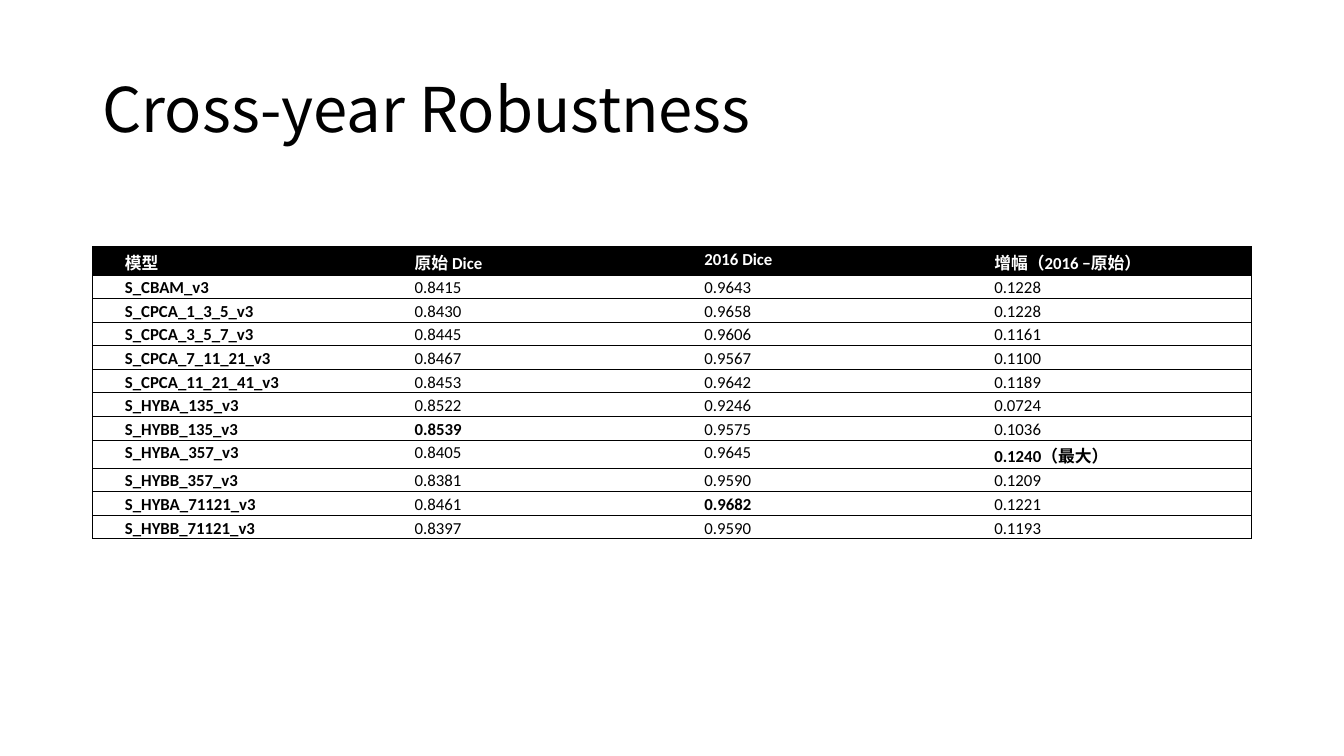
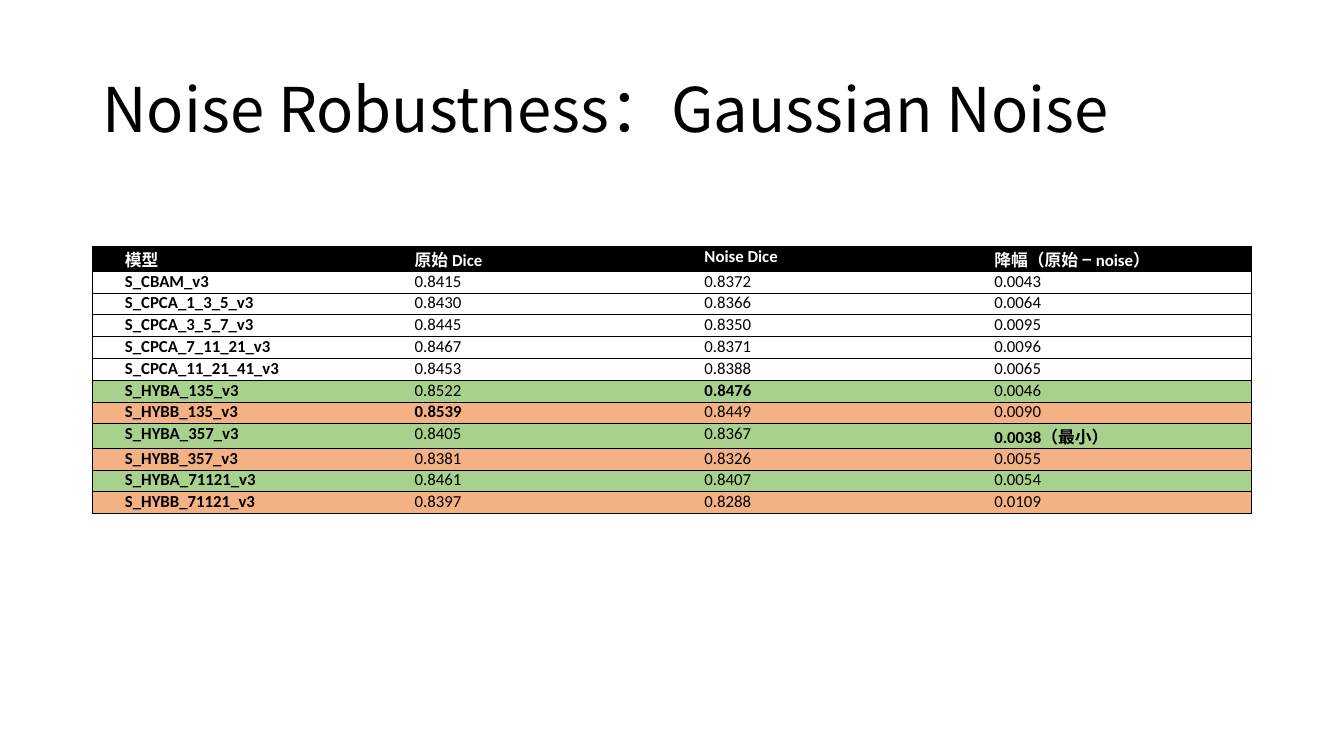
from lxml import etree
from pptx import Presentation
from pptx.dml.color import RGBColor
from pptx.enum.text import MSO_ANCHOR, PP_ALIGN
from pptx.oxml.ns import qn
from pptx.util import Pt

MIDDLE = MSO_ANCHOR.MIDDLE
LEFT = PP_ALIGN.LEFT
PX = 9525
BLACK, WHITE, GREEN, ORANGE = "000000", "FFFFFF", "A9D18E", "F4B183"
TITLE_FONT, CELL_FONT = "Noto Sans CJK SC", "Calibri"
MARGIN, CONTENT_WIDTH = 88, 1104
TABLE_TOP = 235
CELL_INSET, CELL_INDENT = 7, 24

MODELS = [
    "S_CBAM_v3", "S_CPCA_1_3_5_v3", "S_CPCA_3_5_7_v3", "S_CPCA_7_11_21_v3",
    "S_CPCA_11_21_41_v3", "S_HYBA_135_v3", "S_HYBB_135_v3", "S_HYBA_357_v3",
    "S_HYBB_357_v3", "S_HYBA_71121_v3", "S_HYBB_71121_v3",
]
ORIGINAL_DICE = [0.8415, 0.8430, 0.8445, 0.8467, 0.8453, 0.8522,
                 0.8539, 0.8405, 0.8381, 0.8461, 0.8397]

STUDIES = [
    {
        "title": "Cross-year Robustness",
        "header": ["模型", "原始 Dice", "2016 Dice", "增幅（2016 −原始）"],
        "dice": [0.9643, 0.9658, 0.9606, 0.9567, 0.9642, 0.9246,
                 0.9575, 0.9645, 0.9590, 0.9682, 0.9590],
        "best_change": max,
        "best_note": "（最大）",
        "family_fills": {},
        "table_height": 228,
        "line_spacing": 1.15,
        "space_after": 8,
    },
    {
        "title": "Noise Robustness：Gaussian Noise",
        "header": ["模型", "原始 Dice", "Noise Dice", "降幅（原始 − noise）"],
        "dice": [0.8372, 0.8366, 0.8350, 0.8371, 0.8388, 0.8476,
                 0.8449, 0.8367, 0.8326, 0.8407, 0.8288],
        "best_change": min,
        "best_note": "（最小）",
        "family_fills": {"HYBA": GREEN, "HYBB": ORANGE},
        "table_height": 249,
        "line_spacing": 1.0,
        "space_after": 0,
    },
]


def rgb(value):
    return RGBColor.from_string(value)


def add_run(paragraph, text, font, size, color, bold=False):
    run = paragraph.add_run()
    run.text = text
    run.font.name = font
    run.font.size = Pt(size)
    run.font.bold = bold
    run.font.color.rgb = rgb(color)
    east_asian = etree.SubElement(run.font._element, qn("a:ea"))
    east_asian.set("typeface", TITLE_FONT)


prs = Presentation()
prs.slide_width, prs.slide_height = 1280 * PX, 720 * PX
title_only = prs.slide_layouts[5]

for study in STUDIES:
    slide = prs.slides.add_slide(title_only)
    title = slide.shapes.title
    title.left, title.top = MARGIN * PX, 38 * PX
    title.width, title.height = CONTENT_WIDTH * PX, 139 * PX
    title.text_frame.vertical_anchor = MIDDLE
    heading = title.text_frame.paragraphs[0]
    heading.alignment = LEFT
    heading.line_spacing = 0.9
    add_run(heading, study["title"], TITLE_FONT, 44, BLACK)

    changes = [f"{abs(new - old):.4f}" for old, new in zip(ORIGINAL_DICE, study["dice"])]
    columns = [
        MODELS,
        [f"{value:.4f}" for value in ORIGINAL_DICE],
        [f"{value:.4f}" for value in study["dice"]],
        changes,
    ]
    best = [None, max(columns[1]), max(columns[2]), study["best_change"](changes)]
    rows = [study["header"], *zip(*columns)]

    frame = slide.shapes.add_table(
        len(rows), len(columns), MARGIN * PX, TABLE_TOP * PX,
        CONTENT_WIDTH * PX, study["table_height"] * PX)
    table = frame.table
    table.horz_banding = False

    for r, values in enumerate(rows):
        is_header = r == 0
        family = values[0].split("_")[1] if not is_header else ""
        row_fill = BLACK if is_header else study["family_fills"].get(family)
        for c, value in enumerate(values):
            cell = table.cell(r, c)
            cell.margin_left = cell.margin_right = CELL_INSET * PX
            cell.margin_top = cell.margin_bottom = 0
            if row_fill:
                cell.fill.solid()
                cell.fill.fore_color.rgb = rgb(row_fill)
            else:
                cell.fill.background()

            borders = {"lnL": c == 0, "lnR": c == len(columns) - 1, "lnT": True, "lnB": True}
            cell_properties = cell._tc.get_or_add_tcPr()
            for position, (side, visible) in enumerate(borders.items()):
                border = etree.Element(qn(f"a:{side}"), w=str(Pt(0.5)))
                if visible:
                    stroke = etree.SubElement(border, qn("a:solidFill"))
                    etree.SubElement(stroke, qn("a:srgbClr"), val=BLACK)
                else:
                    etree.SubElement(border, qn("a:noFill"))
                cell_properties.insert(position, border)

            is_best = value == best[c]
            text = value + study["best_note"] if is_best and c == 3 else value
            paragraph = cell.text_frame.paragraphs[0]
            paragraph._p.get_or_add_pPr().set("marL", str(CELL_INDENT * PX))
            paragraph.line_spacing = study["line_spacing"]
            paragraph.space_after = Pt(study["space_after"])
            add_run(paragraph, text, CELL_FONT, 12, WHITE if is_header else BLACK,
                    is_header or c == 0 or is_best)

prs.save("out.pptx")
